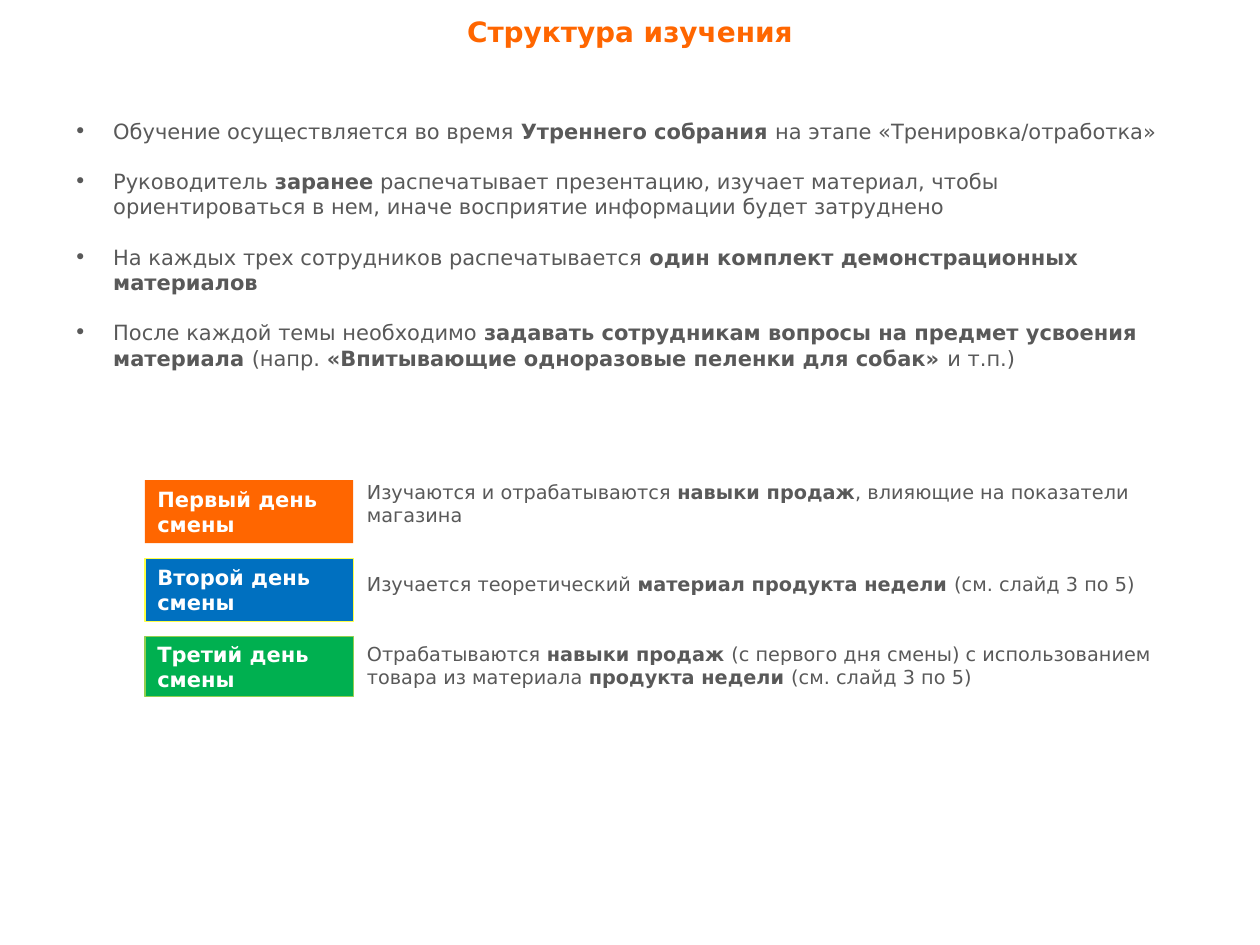
import pptx
import pptx.dml.color
import pptx.enum.shapes
import pptx.enum.text
import pptx.util
from lxml import etree
from pptx.oxml.ns import qn

FONT = "DejaVu Sans"
COLORS = {
    "orange": "FF6600",
    "blue": "0070C0",
    "green": "00B050",
    "yellow": "FFFF47",
    "lime": "92D050",
    "gray": "595959",
    "white": "FFFFFF",
}
SLIDE_WIDTH = pptx.util.Inches(10)
SLIDE_HEIGHT = pptx.util.Inches(7.5)

# Each paragraph is a list of (text, bold) runs.
RULES = [
    [("Обучение осуществляется во время ", False), ("Утреннего собрания ", True),
     ("на этапе «Тренировка/отработка»", False)],
    [("Руководитель ", False), ("заранее", True),
     (" распечатывает презентацию, изучает материал, чтобы ориентироваться в нем, "
      "иначе восприятие информации будет затруднено", False)],
    [("На каждых трех сотрудников распечатывается ", False),
     ("один комплект демонстрационных материалов", True)],
    [("После каждой темы необходимо ", False),
     ("задавать сотрудникам вопросы на предмет усвоения материала ", True),
     ("(напр. ", False), ("«Впитывающие одноразовые пеленки для собак» ", True),
     ("и т.п.)", False)],
]
TASKS = [
    [("Изучаются и отрабатываются ", False), ("навыки продаж", True),
     (", влияющие на показатели магазина", False)],
    [("Изучается теоретический ", False), ("материал продукта недели ", True),
     ("(см. слайд 3 по 5)", False)],
    [("Отрабатываются ", False), ("навыки продаж ", True),
     ("(с первого дня смены) с использованием товара из материала ", False),
     ("продукта недели ", True), ("(см. слайд 3 по 5)", False)],
]
# Label, fill, outline, height as a percentage of the slide.
DAYS = [
    ("Первый день смены", "orange", None, 6.67),
    ("Второй день смены", "blue", "yellow", 6.67),
    ("Третий день смены", "green", "lime", 6.4),
]


def rgb(name):
    return pptx.dml.color.RGBColor.from_string(COLORS[name])


def to_emu(box):
    """Turn left, top, width, height in percent of the slide into lengths."""
    sides = (SLIDE_WIDTH, SLIDE_HEIGHT) * 2
    return [round(side * share / 100) for side, share in zip(sides, box)]


def add_runs(paragraph, runs, size, color):
    for text, bold in runs:
        run = paragraph.add_run()
        run.text = text
        run.font.name = FONT
        run.font.size = pptx.util.Pt(size)
        run.font.bold = bold
        run.font.color.rgb = rgb(color)


def add_bullet(paragraph):
    properties = paragraph._p.get_or_add_pPr()
    indent = pptx.util.Inches(0.31)
    properties.set("marL", str(indent))
    properties.set("indent", str(-indent))
    bullet_color = etree.SubElement(properties, qn("a:buClr"))
    etree.SubElement(bullet_color, qn("a:srgbClr")).set("val", COLORS["gray"])
    etree.SubElement(properties, qn("a:buFont")).set("typeface", FONT)
    etree.SubElement(properties, qn("a:buChar")).set("char", "•")


def add_text(slide, box, paragraphs, size, color, gap=0, bulleted=False,
             align=pptx.enum.text.PP_ALIGN.LEFT):
    frame = slide.shapes.add_textbox(*to_emu(box)).text_frame
    frame.word_wrap = True
    frame.auto_size = pptx.enum.text.MSO_AUTO_SIZE.SHAPE_TO_FIT_TEXT
    for index, runs in enumerate(paragraphs):
        paragraph = frame.add_paragraph() if index else frame.paragraphs[0]
        if bulleted:
            add_bullet(paragraph)
        paragraph.alignment = align
        if index:
            paragraph.space_before = pptx.util.Pt(gap)
        add_runs(paragraph, runs, size, color)


def add_title(slide, box):
    add_text(slide, box, [[("Структура изучения", True)]], 16, "orange",
             align=pptx.enum.text.PP_ALIGN.CENTER)


def add_rules(slide, box):
    add_text(slide, box, RULES, 12, "gray", gap=14.4, bulleted=True)


def add_day_label(slide, box, label, fill, outline):
    day = slide.shapes.add_shape(pptx.enum.shapes.MSO_SHAPE.RECTANGLE, *to_emu(box))
    day.shadow.inherit = False
    day.fill.solid()
    day.fill.fore_color.rgb = rgb(fill)
    if outline:
        day.line.color.rgb = rgb(outline)
        day.line.width = pptx.util.Pt(0.75)
    else:
        day.line.fill.background()
    frame = day.text_frame
    frame.word_wrap = True
    frame.vertical_anchor = pptx.enum.text.MSO_ANCHOR.MIDDLE
    frame.paragraphs[0].alignment = pptx.enum.text.PP_ALIGN.LEFT
    add_runs(frame.paragraphs[0], [(label, True)], 12, "white")


def add_schedule(slide, box):
    """Day labels in the left fifth of the box, their tasks on the right."""
    left, top, width, height = box
    label_width = width * 0.198
    row_pitch = height * 0.395
    add_text(slide, (left + label_width + 0.1, top, width - label_width - 0.1, height),
             TASKS, 11, "gray", gap=26.6)
    for row, (label, fill, outline, label_height) in enumerate(DAYS):
        label_box = (left, top + 0.67 + row * row_pitch, label_width, label_height)
        add_day_label(slide, label_box, label, fill, outline)


def main():
    deck = pptx.Presentation()
    deck.slide_width, deck.slide_height = SLIDE_WIDTH, SLIDE_HEIGHT
    slide = deck.slides.add_slide(deck.slide_layouts[6])
    add_title(slide, (0, 0.93, 100, 4.93))
    add_rules(slide, (4.9, 11.87, 90.5, 25.33))
    add_schedule(slide, (11.5, 50.13, 83.5, 20.93))
    deck.save("out.pptx")


if __name__ == "__main__":
    main()
